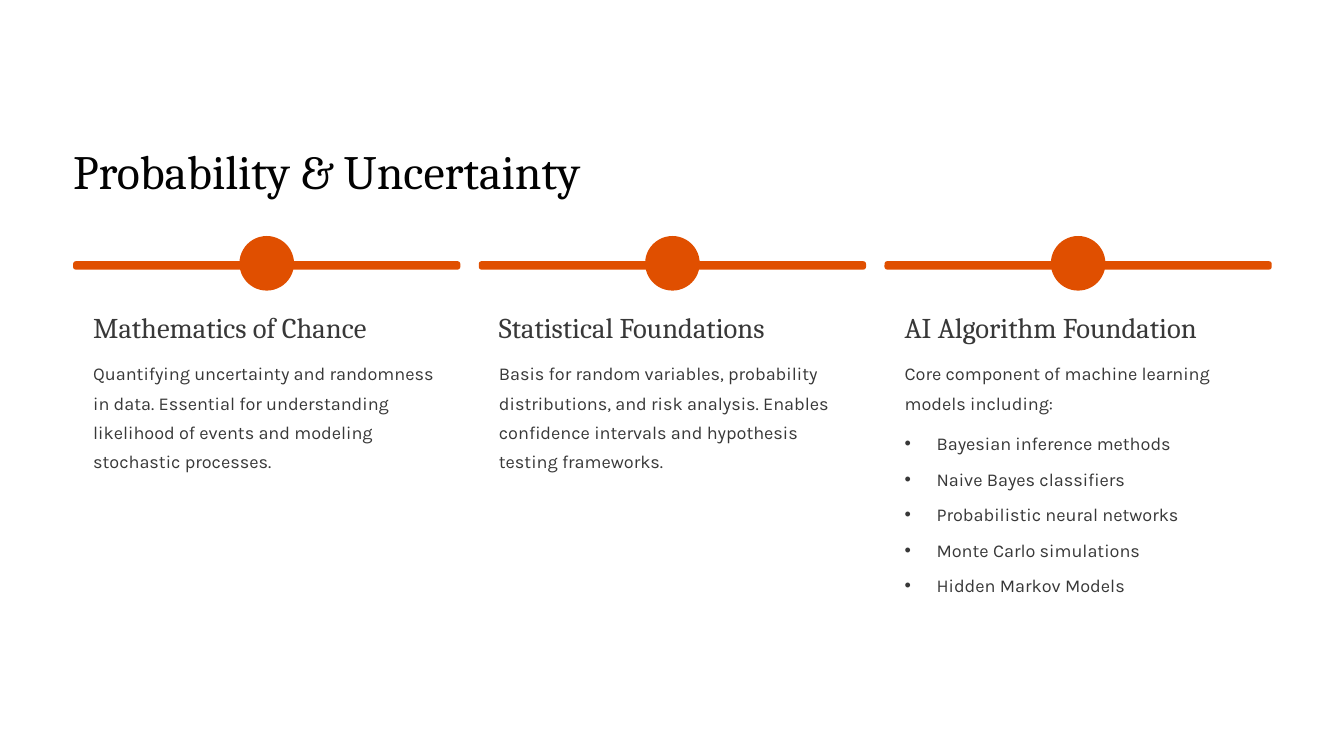
"""Build the Probability & Uncertainty slide."""
from lxml.etree import SubElement
from pptx import Presentation
from pptx.dml.color import RGBColor
from pptx.enum.shapes import MSO_SHAPE
from pptx.enum.text import MSO_ANCHOR, MSO_AUTO_SIZE, PP_ALIGN
from pptx.oxml.ns import qn
from pptx.util import Inches, Pt

WHITE = RGBColor(0xFF, 0xFF, 0xFF)
BLACK = RGBColor(0x02, 0x02, 0x02)
GRAY = RGBColor(0x38, 0x38, 0x38)
ORANGE = RGBColor(0xE0, 0x4F, 0x00)

HEADING_FONT = "Cambria"
BODY_FONT = "Karla"

LEFT = 0.87
COLUMN_WIDTH = 4.61
COLUMN_GAP = 0.22
INSET = 0.24
TEXT_WIDTH = 4.13
DOT_SIZE = 0.65

COLUMNS = [
    ("Mathematics of Chance",
     "Quantifying uncertainty and randomness in data. Essential for understanding "
     "likelihood of events and modeling stochastic processes.", 1.39),
    ("Statistical Foundations",
     "Basis for random variables, probability distributions, and risk analysis. "
     "Enables confidence intervals and hypothesis testing frameworks.", 1.39),
    ("AI Algorithm Foundation",
     "Core component of machine learning models including:", 0.69),
]
METHODS = [
    "Bayesian inference methods",
    "Naive Bayes classifiers",
    "Probabilistic neural networks",
    "Monte Carlo simulations",
    "Hidden Markov Models",
]


class TimelineSlide:
    """Hold the slide and its style, and add each kind of element."""

    def __init__(self, slide):
        """Keep the slide and give it a white background."""
        self.slide = slide
        slide.background.fill.solid()
        slide.background.fill.fore_color.rgb = WHITE

    def set_text(self, holder, box, lines, font, size, leading, color, gap=0, bullet=False):
        """Place a text holder and fill it with styled paragraphs."""
        holder.left, holder.top, holder.width, holder.height = map(Inches, box)
        frame = holder.text_frame
        frame.word_wrap = True
        frame.auto_size = MSO_AUTO_SIZE.NONE
        frame.vertical_anchor = MSO_ANCHOR.TOP
        frame.margin_left = frame.margin_right = 0
        frame.margin_top = frame.margin_bottom = 0
        frame.text = "\n".join(lines)
        for index, paragraph in enumerate(frame.paragraphs):
            paragraph.alignment = PP_ALIGN.LEFT
            paragraph.line_spacing = Pt(leading)
            paragraph.space_before = Pt(gap if index else 0)
            if bullet:
                properties = paragraph._p.get_or_add_pPr()
                properties.set("marL", str(Inches(0.38)))
                properties.set("indent", str(-Inches(0.38)))
                SubElement(properties, qn("a:buChar")).set("char", "•")
            paragraph.font.name = font
            paragraph.font.size = Pt(size)
            paragraph.font.color.rgb = color

    def title(self, text):
        """Set the slide title."""
        self.set_text(self.slide.shapes.title, (LEFT, 1.66, 6.56, 0.71), [text],
                      HEADING_FONT, 41, 51, BLACK)

    def heading(self, left, text):
        """Add a column heading."""
        holder = self.slide.shapes.add_textbox(0, 0, 0, 0)
        self.set_text(holder, (left, 3.68, TEXT_WIDTH, 0.43), [text],
                      HEADING_FONT, 24.5, 30.5, GRAY)

    def description(self, left, height, text):
        """Add the text below a column heading."""
        holder = self.slide.shapes.add_textbox(0, 0, 0, 0)
        self.set_text(holder, (left, 4.23, TEXT_WIDTH, height), [text],
                      BODY_FONT, 15.5, 25, GRAY)

    def bullets(self, left, items):
        """Set the bulleted list in the body placeholder."""
        self.set_text(self.slide.placeholders[1], (left, 5.06, TEXT_WIDTH, 2.04), items,
                      BODY_FONT, 15.5, 25, GRAY, gap=5.4, bullet=True)

    def solid(self, preset, left, top, width, height):
        """Add an orange shape without outline."""
        shape = self.slide.shapes.add_shape(
            preset, Inches(left), Inches(top), Inches(width), Inches(height))
        shape.shadow.inherit = False
        shape.fill.solid()
        shape.fill.fore_color.rgb = ORANGE
        shape.line.fill.background()
        return shape

    def marker(self, left):
        """Add a column's bar with its centred dot."""
        bar = self.solid(MSO_SHAPE.ROUNDED_RECTANGLE, left, 3.11, COLUMN_WIDTH, 0.1)
        bar.adjustments[0] = 0.33
        dot_left = left + (COLUMN_WIDTH - DOT_SIZE) / 2
        self.solid(MSO_SHAPE.OVAL, dot_left, 2.81, DOT_SIZE, DOT_SIZE)


def main():
    """Build and save the presentation."""
    presentation = Presentation()
    presentation.slide_width = Inches(16)
    presentation.slide_height = Inches(9)
    timeline = TimelineSlide(
        presentation.slides.add_slide(presentation.slide_layouts[1]))
    timeline.title("Probability & Uncertainty")
    for index, (heading, description, height) in enumerate(COLUMNS):
        left = LEFT + index * (COLUMN_WIDTH + COLUMN_GAP)
        timeline.marker(left)
        timeline.heading(left + INSET, heading)
        timeline.description(left + INSET, height, description)
    timeline.bullets(left + INSET, METHODS)
    presentation.save("out.pptx")


if __name__ == "__main__":
    main()
